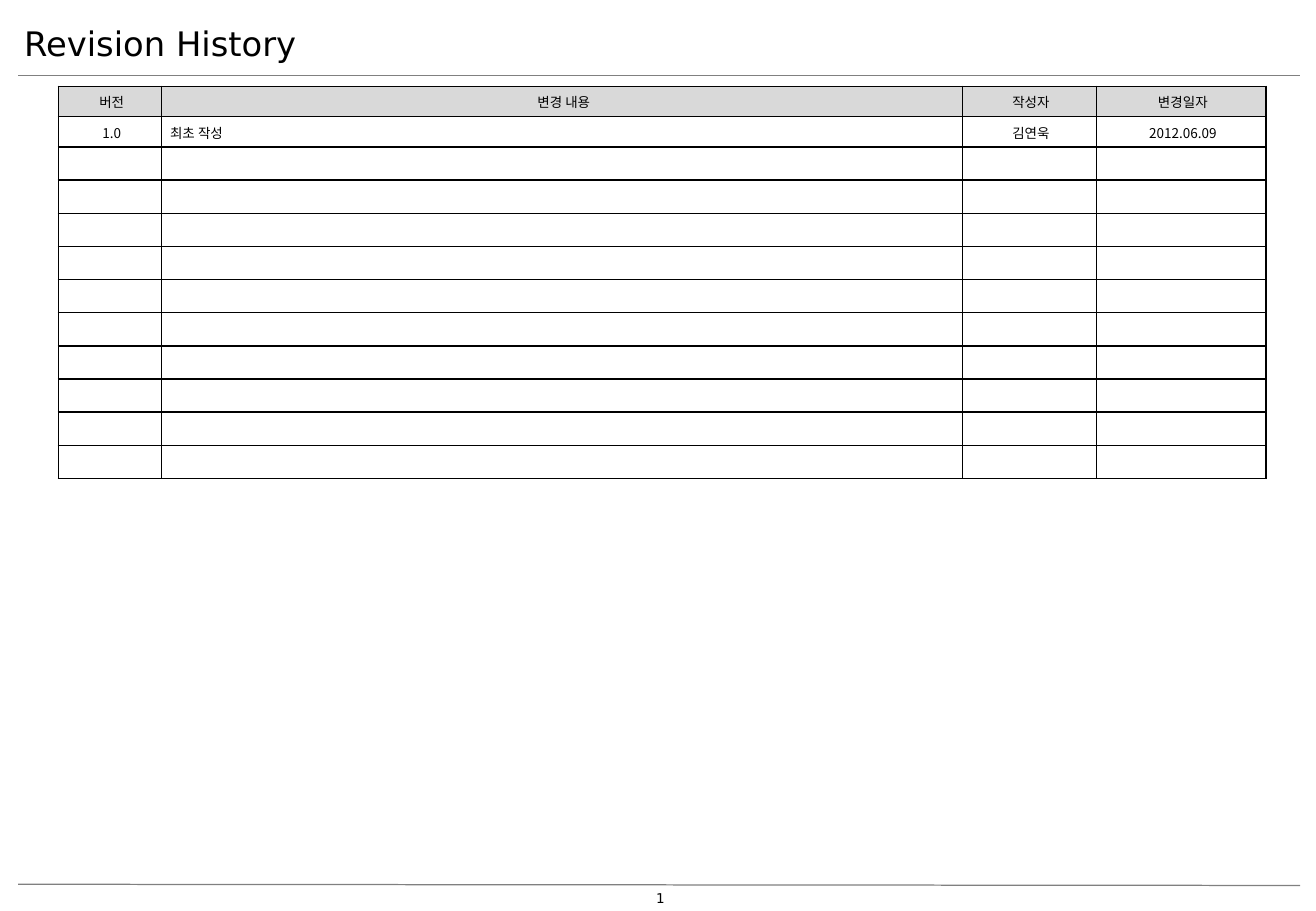
"""Build the revision history slide."""
from lxml.etree import SubElement
from pptx import Presentation
from pptx.dml.color import RGBColor
from pptx.enum.text import MSO_ANCHOR, PP_ALIGN
from pptx.oxml import parse_xml
from pptx.oxml.ns import nsdecls, qn
from pptx.util import Inches, Pt

BLACK = RGBColor(0, 0, 0)
GRAY = RGBColor(0x80, 0x80, 0x80)
SHADE = RGBColor(0xD9, 0xD9, 0xD9)
SANS = "DejaVu Sans"
HANGUL = "Noto Sans CJK KR"
WIDE, HIGH = 10.83, 7.5
COLS = [0.85, 6.59, 1.1, 1.4]
ROWS = [0.25] * 2 + [0.273] * 10
TEXT = [
    ["버전", "변경 내용", "작성자", "변경일자"],
    ["1.0", "최초 작성", "김연욱", "2012.06.09"],
]


def style(para, face, size):
    for run in para.runs:
        run.font.name = face
        run.font.size = Pt(size)
        run.font.color.rgb = BLACK
        SubElement(run.font._element, qn("a:ea")).set("typeface", face)


def label(box, text, size, inset):
    shape = slide.shapes.add_textbox(*[Inches(n) for n in box])
    frame = shape.text_frame
    frame.word_wrap = True
    frame.vertical_anchor = MSO_ANCHOR.MIDDLE
    frame.margin_left = frame.margin_right = Inches(inset)
    frame.margin_top = frame.margin_bottom = Inches(inset / 2)
    frame.text = text
    para = frame.paragraphs[0]
    style(para, SANS, size)
    return para


deck = Presentation()
deck.slide_width, deck.slide_height = Inches(WIDE), Inches(HIGH)
slide = deck.slides.add_slide(deck.slide_layouts[6])

for start, end in [(0.62, 0.62), (7.28, 7.29)]:
    rule = slide.shapes.add_connector(
        1, Inches(0.15), Inches(start), Inches(10.7), Inches(end))
    rule.line.color.rgb = GRAY
    rule.line.width = Pt(0.75)
    SubElement(rule._element.spPr, qn("a:effectLst"))

label((0.1, 0.08, 8.86, 0.55), "Revision History", 20, 0.1)
page = label((5.06, 7.37, 0.75, 0.08), "1", 8, 0)
page.alignment = PP_ALIGN.CENTER
page.line_spacing = 0.7

table = slide.shapes.add_table(
    len(ROWS), len(COLS), Inches(0.48), Inches(0.71),
    Inches(sum(COLS)), Inches(sum(ROWS))).table
for col, width in zip(table.columns, COLS):
    col.width = Inches(width)
for row, height in zip(table.rows, ROWS):
    row.height = Inches(height)

last = len(COLS) - 1
for r in range(len(ROWS)):
    for c in range(len(COLS)):
        cell = table.cell(r, c)
        cell.vertical_anchor = MSO_ANCHOR.MIDDLE
        cell.margin_left = cell.margin_right = Inches(0.04)
        cell.margin_top = cell.margin_bottom = 0
        if r == 0:
            cell.fill.solid()
            cell.fill.fore_color.rgb = SHADE
        else:
            cell.fill.background()
        para = cell.text_frame.paragraphs[0]
        if r < len(TEXT):
            para.text = TEXT[r][c]
            style(para, HANGUL, 8)
            para.line_spacing = Pt(12)
            left = r == 1 and c == 1
            para.alignment = PP_ALIGN.LEFT if left else PP_ALIGN.CENTER
            para._p.get_or_add_pPr().set("marL", str(Inches(0.03)))
        else:
            SubElement(para._p, qn("a:endParaRPr")).set("sz", "800")
        edges = {"L": 1 if c == 0 else 0.25,
                 "R": 1 if c == last else 0.25, "T": 1, "B": 1}
        for spot, (side, width) in enumerate(edges.items()):
            cell._tc.get_or_add_tcPr().insert(spot, parse_xml(
                f'<a:ln{side} {nsdecls("a")} w="{Pt(width)}"><a:solidFill>'
                f'<a:srgbClr val="{BLACK}"/></a:solidFill></a:ln{side}>'))

deck.save("out.pptx")
